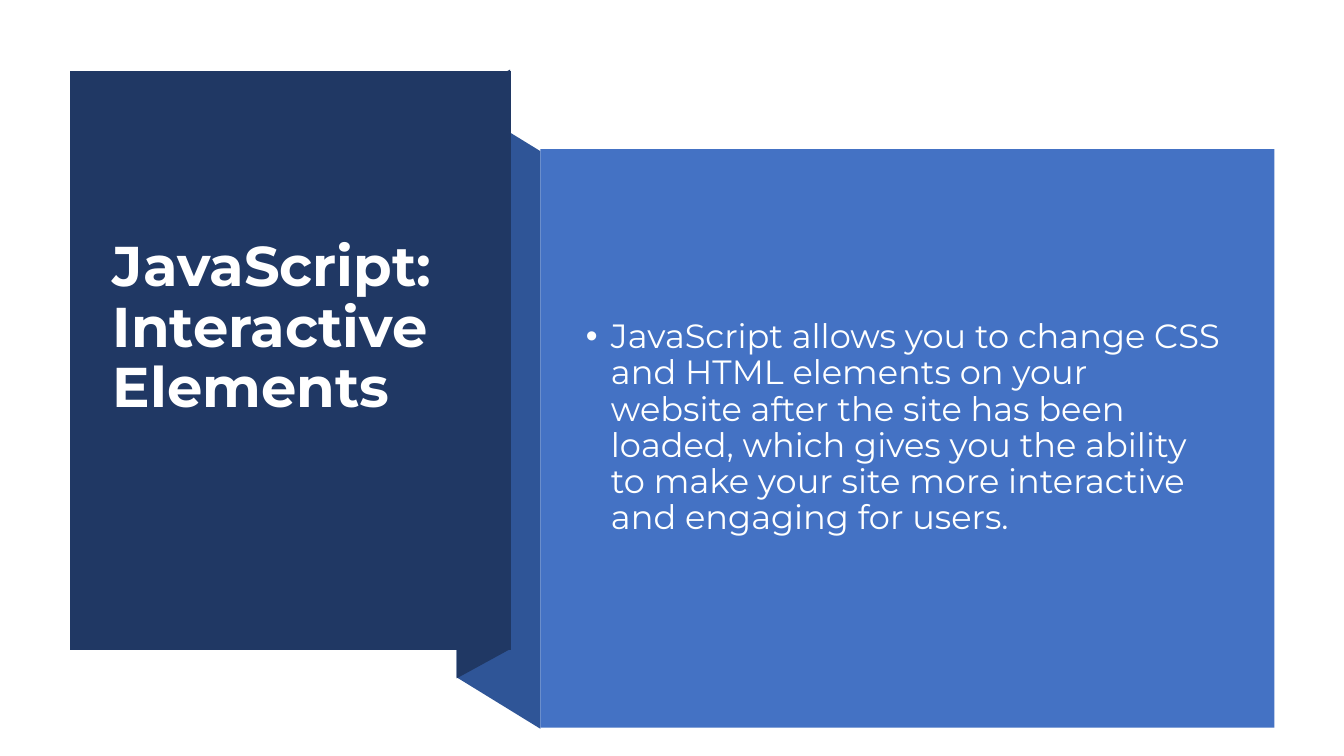
from lxml.etree import SubElement
from pptx import Presentation
from pptx.dml.color import RGBColor
from pptx.enum.shapes import MSO_SHAPE
from pptx.enum.text import MSO_ANCHOR, MSO_AUTO_SIZE, PP_ALIGN
from pptx.oxml.ns import qn
from pptx.util import Inches, Pt

THEME = {
    "navy": RGBColor.from_string("203864"),
    "fold": RGBColor.from_string("2F5597"),
    "panel": RGBColor.from_string("4472C4"),
    "title": {"name": "Montserrat", "size": Pt(40), "bold": True},
    "title_color": RGBColor.from_string("FFFFFF"),
    "body": {"name": "Montserrat", "size": Pt(24), "bold": False},
    "body_color": RGBColor.from_string("FEFFFF"),
}


def paint(shape, color):
    shape.shadow.inherit = False
    shape.fill.solid()
    shape.fill.fore_color.rgb = color
    shape.line.fill.background()


def write(placeholder, box, text, font, color, frame_format, paragraph_format):
    placeholder.left, placeholder.top, placeholder.width, placeholder.height = map(Inches, box)
    frame = placeholder.text_frame
    frame.text = text
    paragraph = frame.paragraphs[0]
    run_font = paragraph.runs[0].font
    run_font.color.rgb = color
    for target, values in ((frame, frame_format), (paragraph, paragraph_format), (run_font, font)):
        for name, value in values.items():
            setattr(target, name, value)
    return paragraph


prs = Presentation()
prs.slide_width, prs.slide_height = Inches(13.33), Inches(7.5)
slide = prs.slides.add_slide(prs.slide_layouts[1])
heading, explanation = slide.placeholders

# Folded ribbon behind the heading, then the heading block
ribbon_parts = [
    ([(5.36, 7.23), (4.53, 6.72), (4.53, 0.99), (5.36, 1.5)], "fold"),
    ([(5.06, 6.44), (4.53, 6.73), (4.53, 0.98), (5.06, 0.69)], "navy"),
    ([(0.69, 0.7), (5.07, 0.7), (5.07, 6.45), (0.69, 6.45)], "navy"),
]
for corners, color in ribbon_parts:
    start, *rest = [(Inches(x), Inches(y)) for x, y in corners]
    outline = slide.shapes.build_freeform(*start)
    outline.add_line_segments(rest, close=True)
    paint(outline.convert_to_shape(), THEME[color])

# Panel behind the explanation
panel = slide.shapes.add_shape(
    MSO_SHAPE.RECTANGLE, Inches(5.36), Inches(1.48), Inches(7.28), Inches(5.74))
paint(panel, THEME["panel"])

# Bring the placeholders in front: heading below the panel, explanation on top
panel.element.addprevious(heading.element)
panel.element.addnext(explanation.element)

# Heading, raised by a deep bottom margin
frame_format = {"word_wrap": True, "auto_size": MSO_AUTO_SIZE.NONE,
                "vertical_anchor": MSO_ANCHOR.MIDDLE}
paragraph_format = {"alignment": PP_ALIGN.LEFT, "line_spacing": 0.9}
write(heading, (1.02, 1.07, 3.71, 4.99), "JavaScript: Interactive Elements",
      THEME["title"], THEME["title_color"],
      {**frame_format, "margin_bottom": Inches(0.65)}, paragraph_format)

# Explanation with its bullet
bullet_point = write(
    explanation, (5.71, 1.88, 6.51, 4.74),
    "JavaScript allows you to change CSS and HTML elements on your website after "
    "the site has been loaded, which gives you the ability to make your site more "
    "interactive and engaging for users.",
    THEME["body"], THEME["body_color"], frame_format,
    {**paragraph_format, "space_before": Pt(10)})
properties = bullet_point._p.get_or_add_pPr()
properties.set("marL", str(Inches(0.25)))
properties.set("indent", str(Inches(-0.25)))
SubElement(properties, qn("a:buFont"), typeface="Arial")
SubElement(properties, qn("a:buChar"), char="•")

prs.save("out.pptx")
